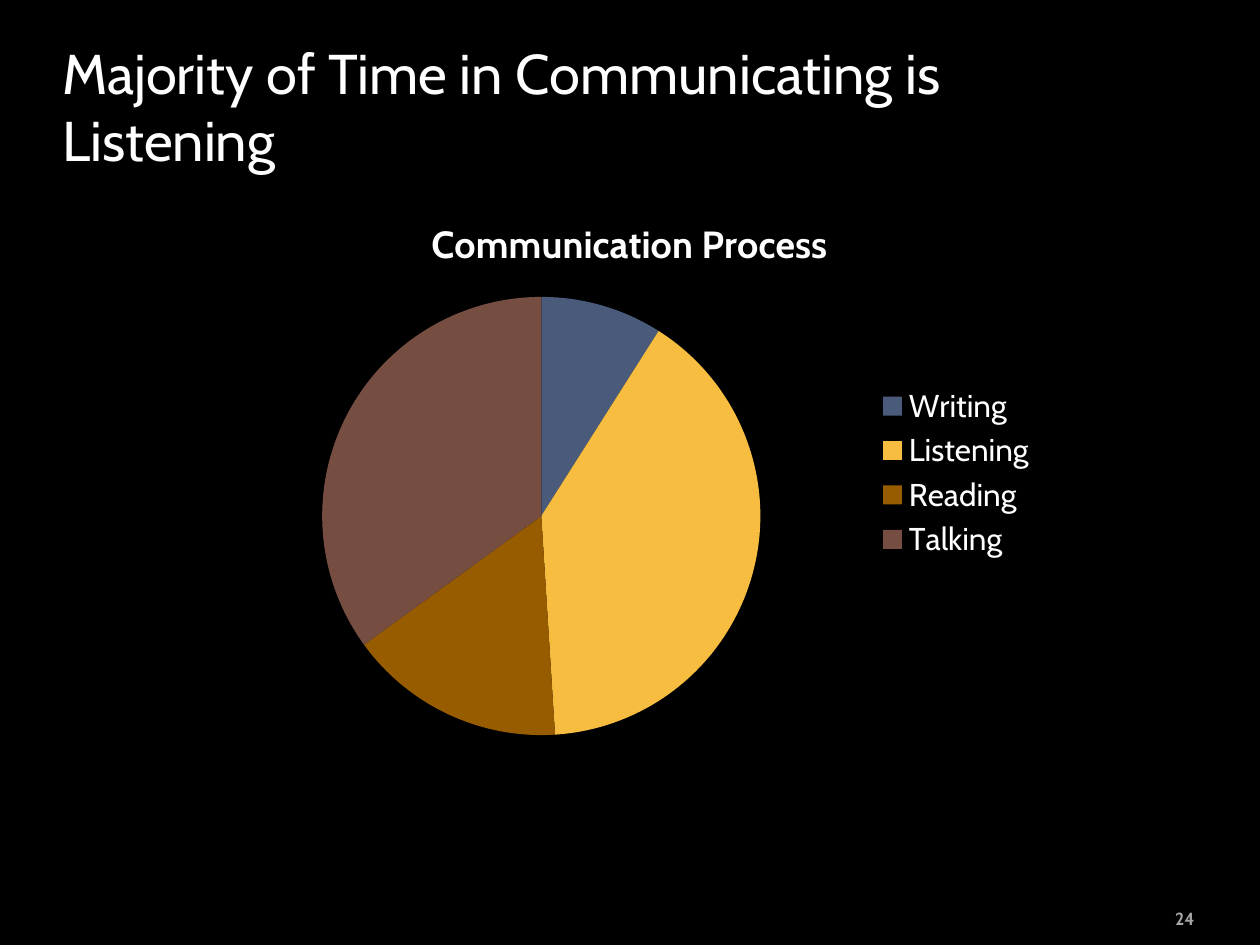
from pptx import Presentation
from pptx.chart.data import CategoryChartData
from pptx.dml.color import RGBColor
from pptx.enum.chart import XL_CHART_TYPE as ChartType, XL_LEGEND_POSITION as LegendPosition
from pptx.enum.text import MSO_ANCHOR as Anchor, PP_ALIGN as Align
from pptx.util import Cm, Pt

TITLE = "Majority of Time in Communicating is Listening"
CHART_TITLE = "Communication Process"
PAGE_NUMBER = "24"
SHARES = [  # activity, percent of time, slice colour
    ("Writing", 9, "4A5A7A"),
    ("Listening", 40, "F7BD40"),
    ("Reading", 16, "975C00"),
    ("Talking", 35, "754D41"),
]
FONT, BLACK, WHITE, GREY = "Cabin", "000000", "FFFFFF", "A6A6A6"


def paint(fill, colour):
    fill.solid()
    fill.fore_color.rgb = RGBColor.from_string(colour)


def style(font, size, colour=WHITE, bold=False):
    font.name, font.size, font.bold = FONT, Pt(size), bold
    font.color.rgb = RGBColor.from_string(colour)


def write(shape, text, size, align, anchor, colour=WHITE, bold=False):
    frame = shape.text_frame
    frame.word_wrap = True
    frame.vertical_anchor = anchor
    para = frame.paragraphs[0]
    para.text = text
    para.alignment = align
    style(para.font, size, colour, bold)
    return para


def add_pie(slide):
    names, values, colours = zip(*SHARES)
    data = CategoryChartData()
    data.categories = names
    data.add_series(CHART_TITLE, values)
    chart = slide.shapes.add_chart(
        ChartType.PIE, Cm(4.23), Cm(3.89), Cm(16.93), Cm(11.28), data).chart
    style(chart.font, 18)

    chart.has_title = True
    heading = chart.chart_title.text_frame.paragraphs[0]
    heading.text = CHART_TITLE
    style(heading.font, 21.6, bold=True)

    chart.has_legend = True
    chart.legend.position = LegendPosition.RIGHT
    chart.legend.include_in_layout = False
    style(chart.legend.font, 18)

    plot = chart.plots[0]
    plot.vary_by_categories = True
    for index, colour in enumerate(colours):
        paint(plot.series[0].points[index].format.fill, colour)


def main():
    deck = Presentation()
    deck.slide_width, deck.slide_height = Cm(25.4), Cm(19.05)
    slide = deck.slides.add_slide(deck.slide_layouts[5])
    paint(slide.background.fill, BLACK)

    title = slide.shapes.title
    title.left, title.top, title.width, title.height = Cm(1), Cm(0.64), Cm(21.34), Cm(2.97)
    write(title, TITLE, 32, Align.LEFT, Anchor.BOTTOM).space_before = Pt(4)

    add_pie(slide)

    number = slide.shapes.add_textbox(Cm(21.9), Cm(18.18), Cm(2.43), Cm(0.69))
    write(number, PAGE_NUMBER, 10, Align.RIGHT, Anchor.MIDDLE, GREY, bold=True)

    deck.save("out.pptx")


if __name__ == "__main__":
    main()
